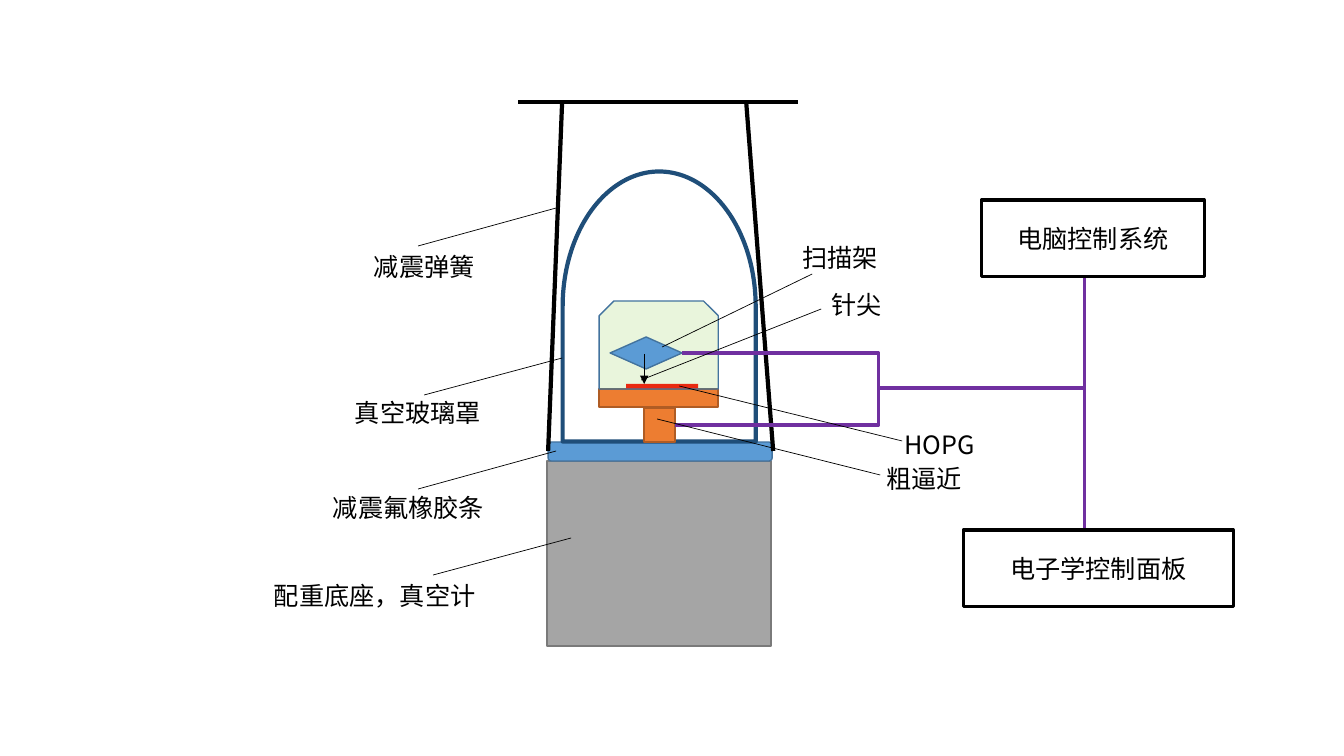
from lxml import etree
from pptx import Presentation
from pptx.dml.color import RGBColor
from pptx.enum.shapes import MSO_CONNECTOR, MSO_SHAPE
from pptx.enum.text import MSO_ANCHOR, MSO_AUTO_SIZE, PP_ALIGN
from pptx.oxml.ns import qn
from pptx.util import Inches, Pt

PX = 914400 / 100.8
FONT = "Noto Sans CJK SC"
COLORS = {
    "black": "000000", "gray": "A5A5A5", "gray_edge": "7A7A7A",
    "blue": "5B9BD5", "blue_edge": "43739E", "glass": "1F4E79",
    "orange": "ED7D31", "orange_edge": "AF5C24", "red": "FF0000",
    "green": "92D050", "purple": "7030A0",
}

# kind, box, fill, line, line width
PARTS = {
    "base": (MSO_SHAPE.RECTANGLE, (547, 461, 224, 185), "gray", "gray_edge", 1),
    "rubber strip": (MSO_SHAPE.ROUNDED_RECTANGLE, (548, 442, 224, 19), "blue", "blue_edge", 1),
    "glass dome": (MSO_SHAPE.FLOWCHART_DELAY, (524, 210, 270, 193), None, "glass", 3),
    "stage": (MSO_SHAPE.RECTANGLE, (599, 389, 119, 18), "orange", "orange_edge", 1),
    "coarse approach": (MSO_SHAPE.RECTANGLE, (644, 408, 31, 34), "orange", "orange_edge", 1),
    "HOPG": (MSO_SHAPE.RECTANGLE, (626, 384, 72, 5), "red", None, 0),
    "chamber": (MSO_SHAPE.SNIP_2_SAME_RECTANGLE, (599, 301, 119, 88), "green", "blue_edge", 1),
    "scanner": (MSO_SHAPE.DIAMOND, (610, 337, 72, 32), "blue", "blue_edge", 1),
}
SUPPORTS = [(518, 102, 798, 102), (562, 102, 548, 451), (746, 102, 773, 451)]
TIP = (644, 354, 644, 384)
SIGNALS = [(880, 388, 1084, 388), (1084, 528, 1084, 276)]
FEEDBACK = (682, 353, 675, 425)
FEEDBACK_TURN = 879
CONTROLS = [("电脑控制系统", (981, 200, 223, 77)), ("电子学控制面板", (963, 530, 270, 77))]

# text, text box, leader
LABELS = [
    ("配重底座，真空计", (264, 575, 235), (571, 538, 433, 575)),
    ("减震氟橡胶条", (323, 487, 227), (556, 451, 418, 489)),
    ("减震弹簧", (364, 246, 227), (556, 208, 418, 246)),
    ("真空玻璃罩", (345, 392, 154), (562, 358, 424, 395)),
    ("扫描架", (792, 237, 110), (812, 274, 662, 347)),
    ("针尖", (821, 284, 110), (821, 309, 641, 380)),
    ("HOPG", (894, 424, 110), (902, 441, 679, 386)),
    ("粗逼近", (876, 458, 110), (880, 475, 657, 419)),
]
LABEL_HEIGHT = 40


def emu(lengths):
    return [round(v * PX) for v in lengths]


def rgb(name):
    return RGBColor.from_string(COLORS[name])


def add_part(kind, box, fill, line, width):
    shape = slide.shapes.add_shape(kind, *emu(box))
    shape.shadow.inherit = False
    if fill:
        shape.fill.solid()
        shape.fill.fore_color.rgb = rgb(fill)
    else:
        shape.fill.background()
    if line:
        shape.line.color.rgb = rgb(line)
        shape.line.width = Pt(width)
    else:
        shape.line.fill.background()
    return shape


def add_line(ends, color="black", width=0.5, kind=MSO_CONNECTOR.STRAIGHT):
    line = slide.shapes.add_connector(kind, *emu(ends))
    line.line.color.rgb = rgb(color)
    line.line.width = Pt(width)
    etree.SubElement(line._element.spPr, qn("a:effectLst"))
    return line


def write(shape, text, align):
    frame = shape.text_frame
    frame.word_wrap = True
    paragraph = frame.paragraphs[0]
    paragraph.alignment = align
    run = paragraph.add_run()
    run.text = text
    run.font.size = Pt(18)
    run.font.name = FONT
    run.font.color.rgb = rgb("black")
    east_asian = etree.SubElement(run._r.get_or_add_rPr(), qn("a:ea"))
    east_asian.set("typeface", FONT)
    return frame


prs = Presentation()
prs.slide_width, prs.slide_height = Inches(13.33), Inches(7.5)
slide = prs.slides.add_slide(prs.slide_layouts[6])

parts = {name: add_part(*spec) for name, spec in PARTS.items()}
parts["glass dome"].rotation = 270
tint = parts["chamber"]._element.spPr.find(qn("a:solidFill"))[0]
etree.SubElement(tint, qn("a:alpha")).set("val", "20000")

for ends in SUPPORTS:
    add_line(ends, width=3)

tip = add_line(TIP)
etree.SubElement(tip.line._get_or_add_ln(), qn("a:tailEnd")).set("type", "triangle")

feedback = add_line(FEEDBACK, "purple", 2.25, MSO_CONNECTOR.ELBOW)
start, _, end, _ = FEEDBACK
turn = round((FEEDBACK_TURN - start) / (end - start) * 100000)
guides = feedback._element.spPr.find(qn("a:prstGeom")).find(qn("a:avLst"))
guide = etree.SubElement(guides, qn("a:gd"))
guide.set("name", "adj1")
guide.set("fmla", f"val {turn}")

for ends in SIGNALS:
    add_line(ends, "purple", 2.25)

for text, box in CONTROLS:
    control = add_part(MSO_SHAPE.RECTANGLE, box, None, "black", 2.25)
    write(control, text, PP_ALIGN.CENTER).vertical_anchor = MSO_ANCHOR.MIDDLE

for text, box, leader in LABELS:
    add_line(leader)
    label = slide.shapes.add_textbox(*emu((*box, LABEL_HEIGHT)))
    write(label, text, PP_ALIGN.LEFT).auto_size = MSO_AUTO_SIZE.SHAPE_TO_FIT_TEXT

prs.save("out.pptx")
